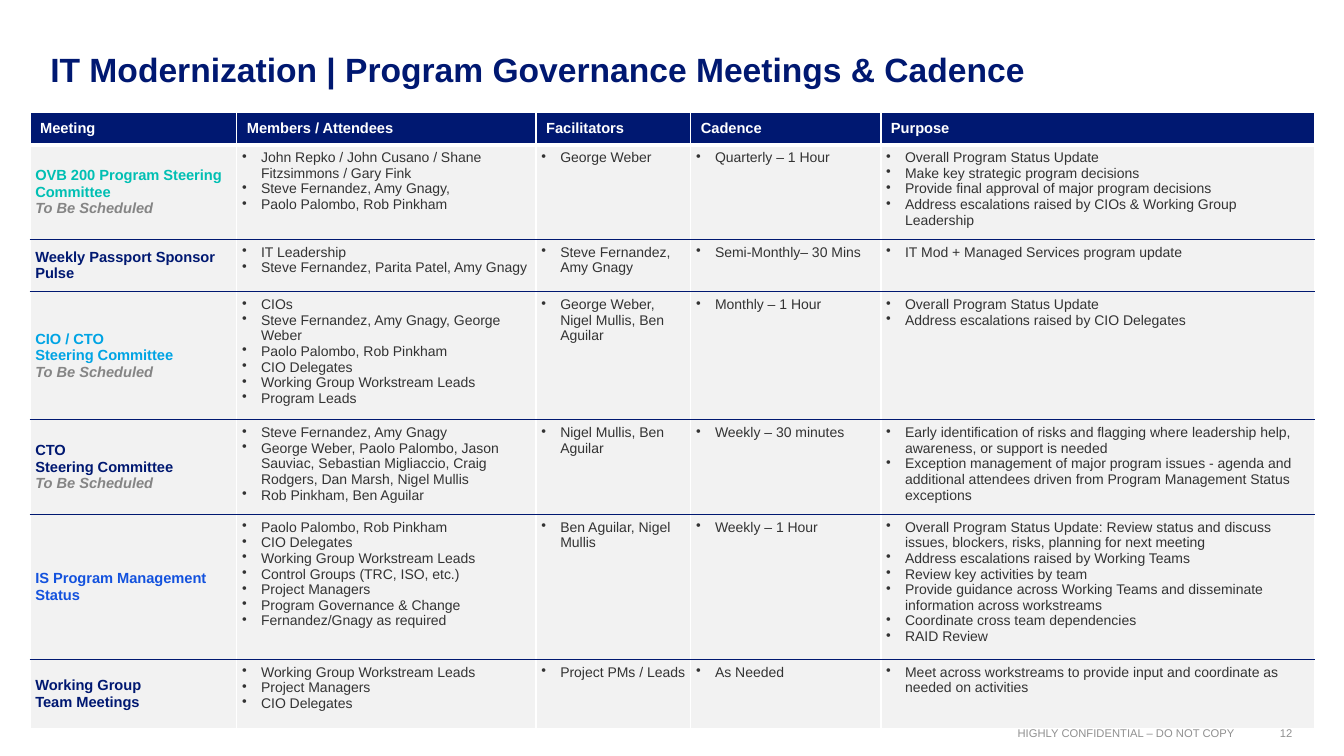
from dataclasses import dataclass

import lxml.etree
import pptx
import pptx.dml.color
import pptx.enum.text
import pptx.oxml.ns
import pptx.table
import pptx.text.text
import pptx.util
from pptx.util import Cm, Pt

ANCHOR = pptx.enum.text.MSO_ANCHOR
ALIGN = pptx.enum.text.PP_ALIGN


@dataclass(frozen=True)
class Theme:
    font: str = "Arial"
    navy: str = "001871"
    teal: str = "00BFB3"
    sky: str = "00A4E4"
    blue: str = "1352DE"
    white: str = "FFFFFF"
    body: str = "333333"
    pending: str = "858585"
    footer: str = "909090"
    row_fill: str = "F2F2F2"
    title_size: float = 24
    heading_size: float = 10.5
    body_size: float = 10
    footer_size: float = 8


THEME = Theme()


@dataclass(frozen=True)
class Style:
    size: float
    color: str
    bold: bool = False
    italic: bool = False


@dataclass(frozen=True)
class Label:
    text: str
    left: float
    top: float
    width: float
    height: float
    style: Style
    align: ALIGN = ALIGN.LEFT
    anchor: ANCHOR = ANCHOR.TOP
    spacing: float = 1.0


@dataclass(frozen=True)
class Meeting:
    name: list[str]
    color: str
    height: float
    members: list[str]
    facilitators: str
    cadence: str
    purpose: list[str]
    pending: bool = False


HEADER_STYLE = Style(THEME.heading_size, THEME.white, bold=True)
BODY_STYLE = Style(THEME.body_size, THEME.body)
PENDING_STYLE = Style(THEME.heading_size, THEME.pending, bold=True, italic=True)
FOOTER_STYLE = Style(THEME.footer_size, THEME.footer)

LABELS = [
    Label("IT Modernization | Program Governance Meetings & Cadence", 1.27, 0.46, 31.32, 1.8,
          Style(THEME.title_size, THEME.navy, bold=True), anchor=ANCHOR.BOTTOM, spacing=0.9),
    Label("HIGHLY CONFIDENTIAL – DO NOT COPY", 23.5, 18.31, 7.62, 0.33, FOOTER_STYLE, ALIGN.RIGHT),
    Label("12", 32.13, 18.31, 0.56, 0.33, FOOTER_STYLE, ALIGN.CENTER, ANCHOR.MIDDLE),
]

HEADINGS = ["Meeting", "Members / Attendees", "Facilitators", "Cadence", "Purpose"]
COLUMN_WIDTHS = [5.21, 7.54, 3.9, 4.79, 10.92]
HEADER_HEIGHT = 0.81
CELL_INSET = 0.13
BULLET_INDENT = 0.48

MEETINGS = [
    Meeting(["OVB 200 Program Steering Committee"], THEME.teal, 2.21,
            ["John Repko / John Cusano / Shane Fitzsimmons / Gary Fink",
             "Steve Fernandez, Amy Gnagy,", "Paolo Palombo, Rob Pinkham"],
            "George Weber", "Quarterly – 1 Hour",
            ["Overall Program Status Update", "Make key strategic program decisions",
             "Provide final approval of major program decisions",
             "Address escalations raised by CIOs & Working Group Leadership"], pending=True),
    Meeting(["Weekly Passport Sponsor Pulse"], THEME.navy, 1.32,
            ["IT Leadership", "Steve Fernandez, Parita Patel, Amy Gnagy"],
            "Steve Fernandez, Amy Gnagy", "Semi-Monthly– 30 Mins",
            ["IT Mod + Managed Services program update"]),
    Meeting(["CIO / CTO", "Steering Committee"], THEME.sky, 3.0,
            ["CIOs", "Steve Fernandez, Amy Gnagy, George Weber", "Paolo Palombo, Rob Pinkham",
             "CIO Delegates", "Working Group Workstream Leads", "Program Leads"],
            "George Weber, Nigel Mullis, Ben Aguilar", "Monthly – 1 Hour",
            ["Overall Program Status Update", "Address escalations raised by CIO Delegates"],
            pending=True),
    Meeting(["CTO", "Steering Committee"], THEME.navy, 2.21,
            ["Steve Fernandez, Amy Gnagy",
             "George Weber, Paolo Palombo, Jason Sauviac, Sebastian Migliaccio, "
             "Craig Rodgers, Dan Marsh, Nigel Mullis",
             "Rob Pinkham, Ben Aguilar"],
            "Nigel Mullis, Ben Aguilar", "Weekly – 30 minutes",
            ["Early identification of risks and flagging where leadership help, "
             "awareness, or support is needed",
             "Exception management of major program issues - agenda and additional attendees "
             "driven from Program Management Status exceptions"], pending=True),
    Meeting(["IS Program Management Status"], THEME.blue, 3.42,
            ["Paolo Palombo, Rob Pinkham", "CIO Delegates", "Working Group Workstream Leads",
             "Control Groups (TRC, ISO, etc.)", "Project Managers",
             "Program Governance & Change", "Fernandez/Gnagy as required"],
            "Ben Aguilar, Nigel Mullis", "Weekly – 1 Hour",
            ["Overall Program Status Update: Review status and discuss issues, blockers, risks, "
             "planning for next meeting",
             "Address escalations raised by Working Teams", "Review key activities by team",
             "Provide guidance across Working Teams and disseminate information across workstreams",
             "Coordinate cross team dependencies", "RAID Review"]),
    Meeting(["Working Group", "Team Meetings"], THEME.navy, 1.75,
            ["Working Group Workstream Leads", "Project Managers", "CIO Delegates"],
            "Project PMs / Leads", "As Needed",
            ["Meet across workstreams to provide input and coordinate as needed on activities"]),
]


def rgb(color: str) -> pptx.dml.color.RGBColor:
    return pptx.dml.color.RGBColor.from_string(color)


def add_run(paragraph: pptx.text.text._Paragraph, text: str, style: Style) -> None:
    run = paragraph.add_run()
    run.text = text
    run.font.name = THEME.font
    run.font.size = Pt(style.size)
    run.font.bold = style.bold
    run.font.italic = style.italic
    run.font.color.rgb = rgb(style.color)


def add_bullet(paragraph: pptx.text.text._Paragraph) -> None:
    properties = paragraph._p.get_or_add_pPr()
    properties.set("marL", str(Cm(BULLET_INDENT)))
    properties.set("indent", str(-Cm(BULLET_INDENT)))
    bullet = lxml.etree.SubElement(properties, pptx.oxml.ns.qn("a:buChar"))
    bullet.set("char", "•")


def add_label(slide: pptx.slide.Slide, label: Label) -> None:
    box = slide.shapes.add_textbox(Cm(label.left), Cm(label.top), Cm(label.width), Cm(label.height))
    frame = box.text_frame
    frame.word_wrap = True
    frame.vertical_anchor = label.anchor
    frame.margin_left = frame.margin_right = frame.margin_top = frame.margin_bottom = 0
    paragraph = frame.paragraphs[0]
    paragraph.alignment = label.align
    paragraph.line_spacing = label.spacing
    add_run(paragraph, label.text, label.style)


def set_borders(cell: pptx.table._Cell, top: str, bottom: str, bottom_width: float = 1) -> None:
    """Give the cell white sides and the stated top and bottom lines."""
    borders = [("L", THEME.white, 1), ("R", THEME.white, 1), ("T", top, 1), ("B", bottom, bottom_width)]
    properties = cell._tc.get_or_add_tcPr()
    for position, (side, color, width) in enumerate(borders):
        line = lxml.etree.Element(pptx.oxml.ns.qn(f"a:ln{side}"), w=str(Pt(width)))
        fill = lxml.etree.SubElement(line, pptx.oxml.ns.qn("a:solidFill"))
        lxml.etree.SubElement(fill, pptx.oxml.ns.qn("a:srgbClr"), val=color)
        properties.insert(position, line)


def fill_cell(cell: pptx.table._Cell, lines: list[tuple[str, Style]], fill: str,
              bulleted: bool = False) -> None:
    cell.fill.solid()
    cell.fill.fore_color.rgb = rgb(fill)
    cell.vertical_anchor = ANCHOR.TOP if bulleted else ANCHOR.MIDDLE
    for index, (text, style) in enumerate(lines):
        paragraph = cell.text_frame.paragraphs[0] if index == 0 else cell.text_frame.add_paragraph()
        if bulleted:
            add_bullet(paragraph)
        add_run(paragraph, text, style)


def add_meeting_row(schedule: pptx.table.Table, row: int, meeting: Meeting) -> None:
    schedule.rows[row].height = Cm(meeting.height)
    name_style = Style(THEME.heading_size, meeting.color, bold=True)
    name_lines = [(line, name_style) for line in meeting.name]
    if meeting.pending:
        name_lines.append(("To Be Scheduled", PENDING_STYLE))
    details = [meeting.members, [meeting.facilitators], [meeting.cadence], meeting.purpose]
    columns = [name_lines] + [[(item, BODY_STYLE) for item in items] for items in details]
    top = THEME.white if row == 1 else THEME.navy
    bottom = THEME.white if row == len(MEETINGS) else THEME.navy
    for column, lines in enumerate(columns):
        cell = schedule.cell(row, column)
        cell.margin_left = cell.margin_right = cell.margin_top = cell.margin_bottom = Cm(CELL_INSET)
        fill_cell(cell, lines, THEME.row_fill, bulleted=column > 0)
        set_borders(cell, top, bottom)


def add_schedule(slide: pptx.slide.Slide) -> None:
    height = HEADER_HEIGHT + sum(meeting.height for meeting in MEETINGS)
    schedule = slide.shapes.add_table(len(MEETINGS) + 1, len(HEADINGS), Cm(0.76), Cm(2.84),
                                      Cm(sum(COLUMN_WIDTHS)), Cm(height)).table
    schedule.horz_banding = False
    schedule.rows[0].height = Cm(HEADER_HEIGHT)
    for column, (heading, width) in enumerate(zip(HEADINGS, COLUMN_WIDTHS)):
        schedule.columns[column].width = Cm(width)
        cell = schedule.cell(0, column)
        fill_cell(cell, [(heading, HEADER_STYLE)], THEME.navy)
        set_borders(cell, THEME.white, THEME.white, bottom_width=3)
    for row, meeting in enumerate(MEETINGS, start=1):
        add_meeting_row(schedule, row, meeting)


def main() -> None:
    deck = pptx.Presentation()
    deck.slide_width, deck.slide_height = Cm(33.87), Cm(19.05)
    slide = deck.slides.add_slide(deck.slide_layouts[6])
    for label in LABELS:
        add_label(slide, label)
    add_schedule(slide)
    deck.save("out.pptx")


if __name__ == "__main__":
    main()
